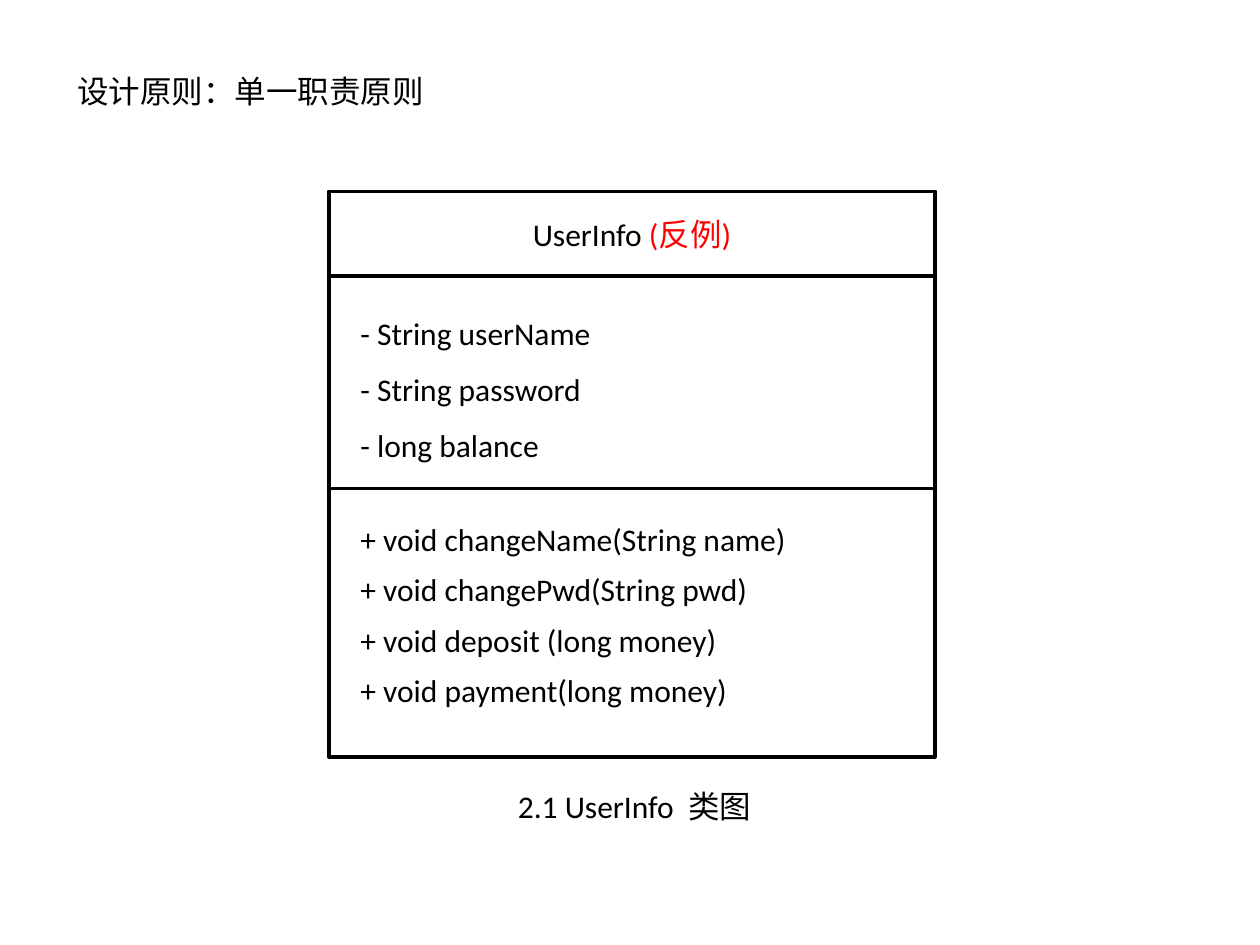
from pptx import Presentation
from pptx.dml.color import RGBColor
from pptx.enum.shapes import MSO_SHAPE
from pptx.enum.text import MSO_ANCHOR, MSO_AUTO_SIZE, PP_ALIGN
from pptx.oxml.xmlchemy import OxmlElement
from pptx.util import Cm, Pt

COLORS = {"ink": "000000", "paper": "FFFFFF", "warning": "FF0000"}
TEXT_FORMAT = {"name": "Calibri", "size": Pt(18), "bold": False}
FRAME_FORMAT = {"word_wrap": True, "auto_size": MSO_AUTO_SIZE.NONE,
                "vertical_anchor": MSO_ANCHOR.TOP}
LINE_HEIGHT = 22  # points, one line of 18 pt text

CLASS_LEFT, CLASS_TOP, CLASS_WIDTH, CLASS_HEIGHT = 6.63, 3.86, 12.22, 11.4
NAME_HEIGHT, FIELDS_HEIGHT = 1.7, 4.29
MEMBER_LEFT = 7.01

FIELDS = ["- String userName", "- String password", "- long balance"]
METHODS = ["+ void changeName(String name)", "+ void changePwd(String pwd)",
           "+ void deposit (long money)", "+ void payment(long money)"]


def apply_format(target, values):
    for attribute, value in values.items():
        setattr(target, attribute, value)


class ClassDiagram:
    def __init__(self, slide):
        self.slide = slide

    def add_text(self, paragraph, text, color="ink"):
        run = paragraph.add_run()
        run.text = text
        apply_format(run.font, TEXT_FORMAT)
        run.font.color.rgb = RGBColor.from_string(COLORS[color])

    def place(self, box, left, top, width, height):
        apply_format(box, {"left": Cm(left), "top": Cm(top),
                           "width": Cm(width), "height": Cm(height)})
        apply_format(box.text_frame, FRAME_FORMAT)

    def title(self, text, *position):
        heading = self.slide.shapes.title
        self.place(heading, *position)
        paragraph = heading.text_frame.paragraphs[0]
        paragraph.alignment = PP_ALIGN.LEFT
        self.add_text(paragraph, text)

    def caption(self, text, *position):
        label = self.slide.shapes.add_textbox(0, 0, 0, 0)
        self.place(label, *position)
        self.add_text(label.text_frame.paragraphs[0], text)

    def compartment(self, top, height):
        box = self.slide.shapes.add_shape(
            MSO_SHAPE.RECTANGLE, Cm(CLASS_LEFT), Cm(top), Cm(CLASS_WIDTH), Cm(height))
        box.shadow.inherit = False
        box.fill.solid()
        box.fill.fore_color.rgb = RGBColor.from_string(COLORS["paper"])
        box.line.color.rgb = RGBColor.from_string(COLORS["ink"])
        box.line.width = Pt(2)
        return box

    def class_name(self, name, remark, top, height):
        box = self.compartment(top, height)
        box.text_frame.vertical_anchor = MSO_ANCHOR.MIDDLE
        paragraph = box.text_frame.paragraphs[0]
        paragraph.alignment = PP_ALIGN.CENTER
        self.add_text(paragraph, name)
        self.add_text(paragraph, remark, "warning")

    def members(self, index, lines, pitch, *position):
        """Fill a body placeholder with unbulleted lines, pitch points apart."""
        body = self.slide.placeholders[index]
        self.place(body, *position)
        for number, line in enumerate(lines):
            frame = body.text_frame
            paragraph = frame.add_paragraph() if number else frame.paragraphs[0]
            apply_format(paragraph, {"space_before": Pt(0),
                                     "space_after": Pt(pitch - LINE_HEIGHT)})
            properties = paragraph._p.get_or_add_pPr()
            properties.set("marL", "0")
            properties.set("indent", "0")
            properties.append(OxmlElement("a:buNone"))
            self.add_text(paragraph, line)
        # Bring the list in front of the compartments
        self.slide.shapes._spTree.append(body._element)


def main():
    deck = Presentation()
    deck.slide_width, deck.slide_height = Cm(25.4), Cm(19.05)
    two_lists = deck.slide_layouts[3]
    diagram = ClassDiagram(deck.slides.add_slide(two_lists))

    diagram.title("设计原则：单一职责原则", 1.3, 1.32, 21, 1.02)
    diagram.compartment(CLASS_TOP, CLASS_HEIGHT)
    diagram.class_name("UserInfo ", "(反例)", CLASS_TOP, NAME_HEIGHT)
    diagram.compartment(CLASS_TOP + NAME_HEIGHT, FIELDS_HEIGHT)
    diagram.members(1, FIELDS, 32.4, MEMBER_LEFT, 6.2, 5.59, 3.3)
    diagram.members(2, METHODS, 29.1, MEMBER_LEFT, 10.36, 11.46, 4.1)
    diagram.caption("2.1 UserInfo  类图", 10.19, 15.75, 5.26, 1.02)
    deck.save("out.pptx")


if __name__ == "__main__":
    main()
